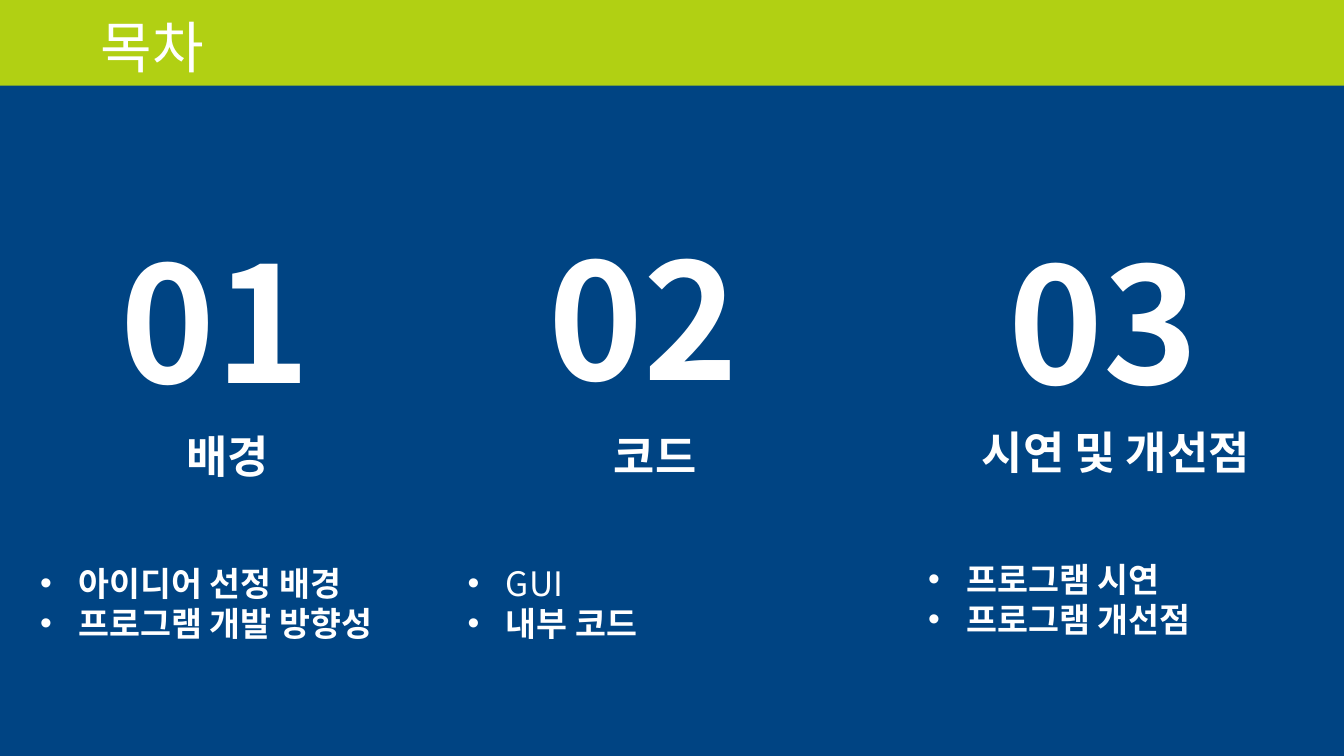
from dataclasses import dataclass

from lxml.etree import SubElement
from pptx import Presentation
from pptx.dml.color import RGBColor
from pptx.enum.shapes import MSO_SHAPE
from pptx.enum.text import MSO_ANCHOR, MSO_AUTO_SIZE, PP_ALIGN
from pptx.oxml.ns import qn
from pptx.slide import Slide
from pptx.text.text import TextFrame, _Paragraph
from pptx.util import Emu, Inches, Pt

SLIDE_WIDTH, SLIDE_HEIGHT = Inches(13.33), Inches(7.5)


@dataclass(frozen=True)
class Theme:
    font: str = "Noto Sans CJK KR"
    header: RGBColor = RGBColor(0xB1, 0xD0, 0x13)
    body: RGBColor = RGBColor(0x00, 0x44, 0x83)
    text: RGBColor = RGBColor(0xFF, 0xFF, 0xFF)
    title_size: int = 40
    number_size: int = 115
    heading_size: int = 32
    topic_size: int = 24


@dataclass(frozen=True)
class Area:
    """A rectangle in percent of the slide's width and height."""
    left: float
    top: float
    width: float
    height: float

    def box(self) -> tuple[Emu, Emu, Emu, Emu]:
        return (Emu(round(SLIDE_WIDTH * self.left / 100)),
                Emu(round(SLIDE_HEIGHT * self.top / 100)),
                Emu(round(SLIDE_WIDTH * self.width / 100)),
                Emu(round(SLIDE_HEIGHT * self.height / 100)))


@dataclass(frozen=True)
class Topic:
    text: str
    bold: bool = True


@dataclass(frozen=True)
class Section:
    number: str
    heading: str
    topics: tuple[Topic, ...]
    left: float
    number_top: float
    text_top: float


THEME = Theme()
HEADER_BOTTOM = 11.33
TITLE_AREA = Area(6.75, 0.93, 42, 10.27)
NUMBER_INDENT = 6
TOPIC_INDENT = Inches(0.38)
BANDS = (
    (Area(0, 0, 100, 100), THEME.header),
    (Area(0, HEADER_BOTTOM, 100, 100 - HEADER_BOTTOM), THEME.body),
)
SECTIONS = (
    Section("01", "배경", (Topic("아이디어 선정 배경"), Topic("프로그램 개발 방향성")),
            2.25, 28.8, 56),
    Section("02", "코드", (Topic("GUI", bold=False), Topic("내부 코드")),
            34.05, 28.4, 56),
    Section("03", "시연 및 개선점", (Topic("프로그램 시연"), Topic("프로그램 개선점")),
            68.33, 28.93, 55.47),
)


def add_run(paragraph: _Paragraph, text: str, size: int, bold: bool = True) -> None:
    run = paragraph.add_run()
    run.text = text
    run.font.size = Pt(size)
    run.font.bold = bold
    run.font.name = THEME.font
    run.font.color.rgb = THEME.text
    SubElement(run.font._element, qn("a:ea"), typeface=THEME.font)


def add_bullet(paragraph: _Paragraph) -> None:
    properties = paragraph._p.get_or_add_pPr()
    properties.set("marL", str(TOPIC_INDENT))
    properties.set("indent", str(-TOPIC_INDENT))
    SubElement(properties, qn("a:buFont"), typeface="Arial")
    SubElement(properties, qn("a:buChar"), char="•")


def add_text_area(slide: Slide, area: Area) -> TextFrame:
    frame = slide.shapes.add_textbox(*area.box()).text_frame
    frame.word_wrap = True
    frame.auto_size = MSO_AUTO_SIZE.SHAPE_TO_FIT_TEXT
    return frame


def add_band(slide: Slide, area: Area, color: RGBColor) -> None:
    band = slide.shapes.add_shape(MSO_SHAPE.RECTANGLE, *area.box())
    band.shadow.inherit = False
    band.fill.solid()
    band.fill.fore_color.rgb = color
    band.line.fill.background()


def place_title(slide: Slide, text: str) -> None:
    """Format the title placeholder and bring it in front of the bands."""
    title = slide.shapes.title
    title.left, title.top, title.width, title.height = TITLE_AREA.box()
    frame = title.text_frame
    frame.vertical_anchor = MSO_ANCHOR.TOP
    frame.auto_size = MSO_AUTO_SIZE.SHAPE_TO_FIT_TEXT
    frame.paragraphs[0].alignment = PP_ALIGN.LEFT
    add_run(frame.paragraphs[0], text, THEME.title_size, bold=False)
    slide.shapes._spTree.append(title._element)


def add_section(slide: Slide, section: Section) -> None:
    number = add_text_area(
        slide, Area(section.left + NUMBER_INDENT, section.number_top, 17.48, 27.2))
    add_run(number.paragraphs[0], section.number, THEME.number_size)

    details = add_text_area(slide, Area(section.left, section.text_top, 29.4, 30.13))
    heading = details.paragraphs[0]
    heading.alignment = PP_ALIGN.CENTER
    add_run(heading, section.heading, THEME.heading_size)
    for index, topic in enumerate(section.topics):
        paragraph = details.add_paragraph()
        if index == 0:
            paragraph.line_spacing = 3.0
        add_bullet(paragraph)
        add_run(paragraph, topic.text, THEME.topic_size, topic.bold)


def main() -> None:
    deck = Presentation()
    deck.slide_width, deck.slide_height = SLIDE_WIDTH, SLIDE_HEIGHT
    slide = deck.slides.add_slide(deck.slide_layouts.get_by_name("Title Only"))
    for area, color in BANDS:
        add_band(slide, area, color)
    place_title(slide, "목차")
    for section in SECTIONS:
        add_section(slide, section)
    deck.save("out.pptx")


if __name__ == "__main__":
    main()
